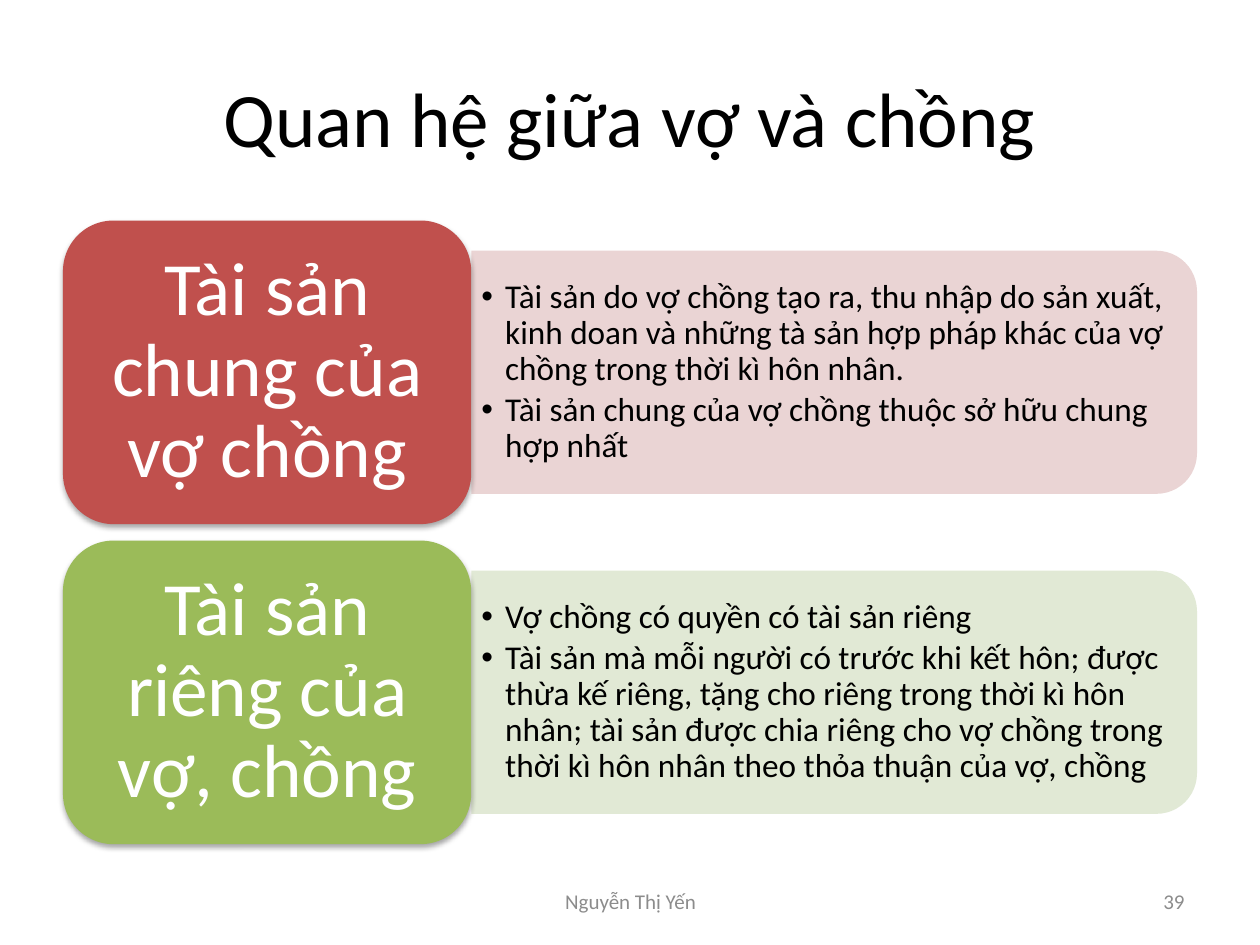
from dataclasses import dataclass

from lxml.etree import SubElement
from pptx import Presentation
from pptx.dml.color import RGBColor as RGB
from pptx.enum.shapes import MSO_SHAPE as Shape
from pptx.enum.text import MSO_ANCHOR as Anchor, PP_ALIGN as Align
from pptx.oxml.ns import qn
from pptx.util import Inches, Pt


@dataclass(frozen=True)
class Theme:
    font: str = "Calibri"
    black: str = "000000"
    white: str = "FFFFFF"
    grey: str = "8C8C8C"
    red: str = "C0504D"
    pale_red: str = "E8D0D0"
    green: str = "9BBB59"
    pale_green: str = "DEE7D1"
    title: int = 44
    label: int = 43
    body: int = 19
    footer: int = 12


@dataclass(frozen=True)
class Property:
    label: str
    points: tuple[str, ...]
    color: str
    pale: str


@dataclass(frozen=True)
class Footer:
    text: str
    left: float
    width: float
    align: Align


T = Theme()
LEFT, TOP, STEP = 0.5, 1.75, 2.54
LABEL_W, LABEL_H = 3.24, 2.41
PANEL_W, PANEL_H = 5.76, 1.93
TEXT_W, TEXT_H = 5.67, 1.74

PROPERTIES = (
    Property(
        "Tài sản chung của vợ chồng",
        ("Tài sản do vợ chồng tạo ra, thu nhập do sản xuất, kinh doan và những "
         "tà sản hợp pháp khác của vợ chồng trong thời kì hôn nhân.",
         "Tài sản chung của vợ chồng thuộc sở hữu chung hợp nhất"),
        T.red, T.pale_red),
    Property(
        "Tài sản riêng của vợ, chồng",
        ("Vợ chồng có quyền có tài sản riêng",
         "Tài sản mà mỗi người có trước khi kết hôn; được thừa kế riêng, tặng cho "
         "riêng trong thời kì hôn nhân; tài sản được chia riêng cho vợ chồng trong "
         "thời kì hôn nhân theo thỏa thuận của vợ, chồng"),
        T.green, T.pale_green),
)
FOOTERS = (
    Footer("Nguyễn Thị Yến", 3.42, 3.17, Align.CENTER),
    Footer("39", 7.17, 2.33, Align.RIGHT),
)


def set_attrs(obj, values: dict) -> None:
    for name, value in values.items():
        setattr(obj, name, value)


def box(left: float, top: float, width: float, height: float) -> tuple:
    return tuple(Inches(v) for v in (left, top, width, height))


def set_frame(tf, side: float = 0.1, edge: float = 0.05) -> None:
    set_attrs(tf, {
        "word_wrap": True, "vertical_anchor": Anchor.MIDDLE,
        "margin_left": Inches(side), "margin_right": Inches(side),
        "margin_top": Inches(edge), "margin_bottom": Inches(edge)})


def write(p, text: str, size: int, color: str, **fmt) -> None:
    r = p.add_run()
    r.text = text
    set_attrs(r.font, {"name": T.font, "size": Pt(size)})
    r.font.color.rgb = RGB.from_string(color)
    set_attrs(p, fmt)


def add_bullet(p) -> None:
    pPr = p._p.get_or_add_pPr()
    pPr.set("marL", str(Inches(0.19)))
    pPr.set("indent", str(-Inches(0.19)))
    SubElement(pPr, qn("a:buFont"), typeface="Arial")
    SubElement(pPr, qn("a:buChar"), char="•")


def add_shadow(s) -> None:
    effects = s._element.spPr.find(qn("a:effectLst"))
    shadow = SubElement(effects, qn("a:outerShdw"), blurRad=str(Pt(3.1)),
                        dist=str(Pt(1.8)), dir="5400000", rotWithShape="0")
    color = SubElement(shadow, qn("a:srgbClr"), val=T.black)
    SubElement(color, qn("a:alpha"), val="35000")


def add_filled(slide, kind: Shape, color: str, *at: float):
    s = slide.shapes.add_shape(kind, *box(*at))
    s.shadow.inherit = False
    s.fill.solid()
    s.fill.fore_color.rgb = RGB.from_string(color)
    s.line.fill.background()
    return s


def add_panel(slide, item: Property, middle: float) -> None:
    left = LEFT + LABEL_W
    s = add_filled(slide, Shape.ROUND_2_SAME_RECTANGLE, item.pale,
                   left + (PANEL_W - PANEL_H) / 2, middle - PANEL_W / 2,
                   PANEL_H, PANEL_W)
    s.rotation = 90
    color = s._element.spPr.find(qn("a:solidFill")).find(qn("a:srgbClr"))
    SubElement(color, qn("a:alpha"), val="90000")

    tf = slide.shapes.add_textbox(
        *box(left, middle - TEXT_H / 2, TEXT_W, TEXT_H)).text_frame
    set_frame(tf, 0.08, 0.04)
    for i, point in enumerate(item.points):
        p = tf.add_paragraph() if i else tf.paragraphs[0]
        add_bullet(p)
        write(p, point, T.body, T.black, line_spacing=0.9, space_after=Pt(3))


def add_label(slide, item: Property, top: float) -> None:
    s = add_filled(slide, Shape.ROUNDED_RECTANGLE, item.color,
                   LEFT, top, LABEL_W, LABEL_H)
    add_shadow(s)
    set_frame(s.text_frame, 0.18, 0.09)
    write(s.text_frame.paragraphs[0], item.label, T.label, T.white,
          alignment=Align.CENTER, line_spacing=0.9)


def add_footer(slide, item: Footer) -> None:
    tf = slide.shapes.add_textbox(*box(item.left, 6.95, item.width, 0.4)).text_frame
    set_frame(tf)
    write(tf.paragraphs[0], item.text, T.footer, T.grey, alignment=item.align)


def main() -> None:
    prs = Presentation()
    set_attrs(prs, {"slide_width": Inches(10), "slide_height": Inches(7.5)})
    slide = prs.slides.add_slide(prs.slide_layouts[5])

    title = slide.shapes.title
    set_attrs(title, dict(zip(("left", "top", "width", "height"),
                              box(0.5, 0.3, 9, 1.25))))
    set_frame(title.text_frame)
    write(title.text_frame.paragraphs[0], "Quan hệ giữa vợ và chồng",
          T.title, T.black, alignment=Align.CENTER)

    for i, item in enumerate(PROPERTIES):
        top = TOP + i * STEP
        add_panel(slide, item, top + LABEL_H / 2)
        add_label(slide, item, top)
    for item in FOOTERS:
        add_footer(slide, item)

    prs.save("out.pptx")


if __name__ == "__main__":
    main()
